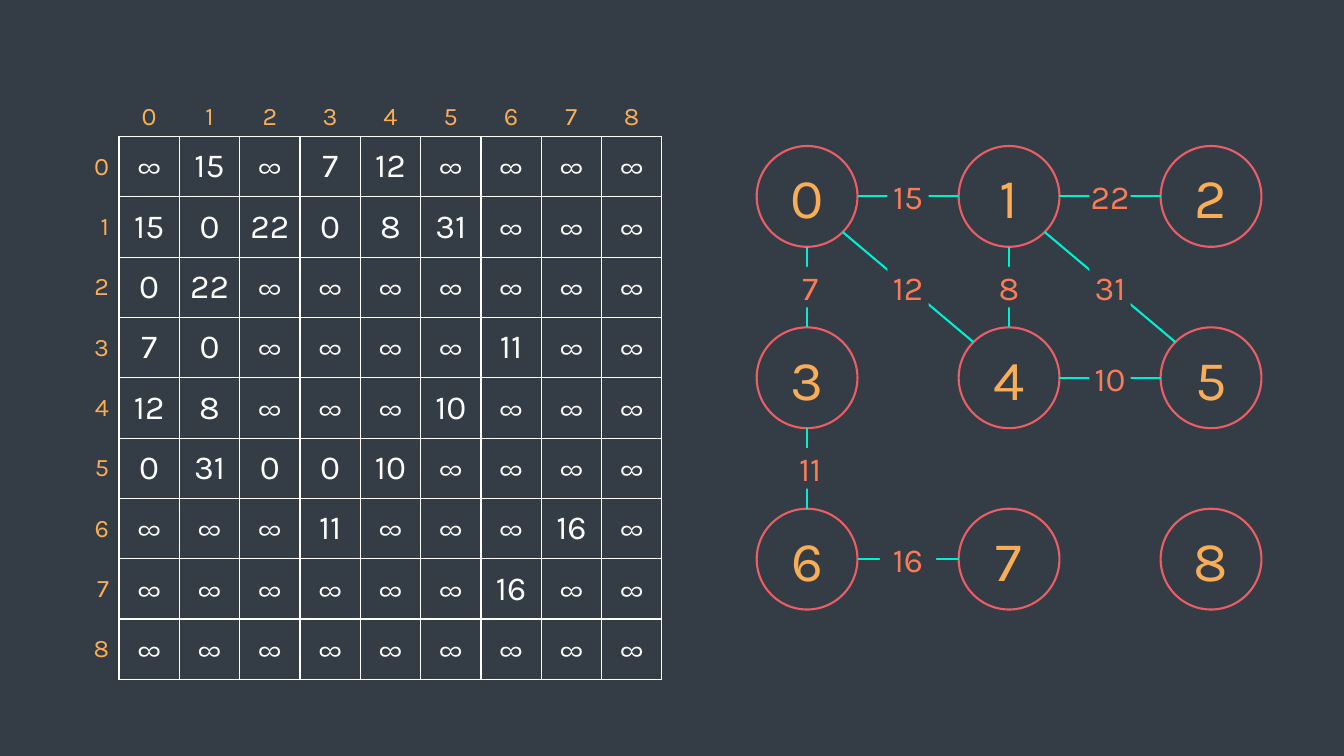
from dataclasses import dataclass
from math import sqrt

from lxml.etree import SubElement
from pptx import Presentation
from pptx.dml.color import RGBColor
from pptx.enum.shapes import MSO_CONNECTOR as Connector, MSO_SHAPE as Shape
from pptx.enum.text import MSO_ANCHOR as Anchor, MSO_AUTO_SIZE as AutoSize, PP_ALIGN as Align
from pptx.oxml.ns import qn
from pptx.util import Cm, Pt


@dataclass(frozen=True)
class Theme:
    font: str = "Karla"
    background: RGBColor = RGBColor.from_string("343D46")
    node_line: RGBColor = RGBColor.from_string("EC5E66")
    node_text: RGBColor = RGBColor.from_string("F9AD57")
    edge: RGBColor = RGBColor.from_string("00EFD1")
    weight: RGBColor = RGBColor.from_string("F97B57")
    heading: RGBColor = RGBColor.from_string("F9AE57")
    entry: RGBColor = RGBColor.from_string("FFFFFF")
    node_size: int = 40
    value_size: int = 24
    heading_size: int = 18
    line_width: float = 1.5
    border_width: float = 1


theme = Theme()


def write(frame, text, size, color, align=Align.CENTER, anchor=Anchor.MIDDLE):
    """Fill a text frame with one formatted line."""
    frame.vertical_anchor = anchor
    paragraph = frame.paragraphs[0]
    paragraph.alignment = align
    run = paragraph.add_run()
    run.text = text
    run.font.name = theme.font
    run.font.size = Pt(size)
    run.font.color.rgb = color


def set_borders(cell, visible):
    """Draw the cell sides named in visible (L, R, T, B) and clear the rest."""
    properties = cell._tc.get_or_add_tcPr()
    for side in "LRTB":
        line = SubElement(properties, qn(f"a:ln{side}"), w=str(Pt(theme.border_width)))
        if side in visible:
            fill = SubElement(line, qn("a:solidFill"))
            SubElement(fill, qn("a:srgbClr"), val=str(theme.entry))
        else:
            SubElement(line, qn("a:noFill"))


presentation = Presentation()
presentation.slide_width = Cm(33.87)
presentation.slide_height = Cm(19.05)
slide = presentation.slides.add_slide(presentation.slide_layouts[6])
slide.background.fill.solid()
slide.background.fill.fore_color.rgb = theme.background

# Graph: nine nodes numbered row by row on a 3 x 3 grid
RADIUS = 1.27
centers = [(20.34 + 5.09 * column, 4.95 + 4.57 * row)
           for row in range(3) for column in range(3)]

# First node, second node, weight, label width, label shift to the right
edges = [
    (0, 1, 15, 1.04, 0),
    (1, 2, 22, 1.04, 0),
    (0, 3, 7, 1.04, 0.08),
    (0, 4, 12, 1.04, 0),
    (1, 4, 8, 1.04, 0),
    (1, 5, 31, 1.04, 0),
    (4, 5, 10, 1.04, 0),
    (3, 6, 11, 1.04, 0.08),
    (6, 7, 16, 1.42, 0),
]
LABEL_HEIGHT = 1.02

for number, (x, y) in enumerate(centers):
    node = slide.shapes.add_shape(Shape.OVAL, Cm(x - RADIUS), Cm(y - RADIUS),
                                  Cm(2 * RADIUS), Cm(2 * RADIUS))
    node.shadow.inherit = False
    node.fill.solid()
    node.fill.fore_color.rgb = theme.background
    node.line.color.rgb = theme.node_line
    node.line.width = Pt(theme.line_width)
    write(node.text_frame, str(number), size=theme.node_size, color=theme.node_text)

for first, second, weight, label_width, shift in edges:
    (x1, y1), (x2, y2) = centers[first], centers[second]
    # Diagonal edges touch the circles at 45 degrees
    reach = RADIUS / sqrt(2) if x1 != x2 and y1 != y2 else RADIUS
    dx = reach if x2 > x1 else 0
    dy = reach if y2 > y1 else 0
    edge = slide.shapes.add_connector(Connector.STRAIGHT, Cm(x1 + dx), Cm(y1 + dy),
                                      Cm(x2 - dx), Cm(y2 - dy))
    edge.line.color.rgb = theme.edge
    edge.line.width = Pt(theme.line_width)
    SubElement(edge._element.spPr, qn("a:effectLst"))

    label = slide.shapes.add_shape(Shape.RECTANGLE,
                                   Cm((x1 + x2 - label_width) / 2 + shift),
                                   Cm((y1 + y2 - LABEL_HEIGHT) / 2),
                                   Cm(label_width), Cm(LABEL_HEIGHT))
    label.shadow.inherit = False
    label.fill.solid()
    label.fill.fore_color.rgb = theme.background
    label.line.fill.background()
    frame = label.text_frame
    frame.margin_left = frame.margin_right = frame.margin_top = frame.margin_bottom = 0
    frame.auto_size = AutoSize.SHAPE_TO_FIT_TEXT
    write(frame, str(weight), size=theme.value_size, color=theme.weight, anchor=Anchor.TOP)

# Adjacency matrix with numbered rows and columns
matrix = [row.split() for row in (
    "∞ 15 ∞ 7 12 ∞ ∞ ∞ ∞",
    "15 0 22 0 8 31 ∞ ∞ ∞",
    "0 22 ∞ ∞ ∞ ∞ ∞ ∞ ∞",
    "7 0 ∞ ∞ ∞ ∞ 11 ∞ ∞",
    "12 8 ∞ ∞ ∞ 10 ∞ ∞ ∞",
    "0 31 0 0 10 ∞ ∞ ∞ ∞",
    "∞ ∞ ∞ 11 ∞ ∞ ∞ 16 ∞",
    "∞ ∞ ∞ ∞ ∞ ∞ 16 ∞ ∞",
    "∞ ∞ ∞ ∞ ∞ ∞ ∞ ∞ ∞",
)]
CELL = 1.52
count = len(matrix) + 1
table = slide.shapes.add_table(count, count, Cm(1.48), Cm(1.92),
                               Cm(CELL * count), Cm(CELL * count)).table
table.first_row = False
table.horz_banding = False
for band in (*table.columns, *table.rows):
    if band in table.columns:
        band.width = Cm(CELL)
    else:
        band.height = Cm(CELL)

for row in range(count):
    for column in range(count):
        cell = table.cell(row, column)
        if row and column:
            set_borders(cell, "LRTB")
            write(cell.text_frame, matrix[row - 1][column - 1],
                  size=theme.value_size, color=theme.entry)
            cell.vertical_anchor = Anchor.MIDDLE
        elif row:
            set_borders(cell, "R")
            write(cell.text_frame, str(row - 1), size=theme.heading_size,
                  color=theme.heading, align=Align.RIGHT)
            cell.vertical_anchor = Anchor.MIDDLE
        elif column:
            set_borders(cell, "B")
            write(cell.text_frame, str(column - 1), size=theme.heading_size,
                  color=theme.heading)
            cell.vertical_anchor = Anchor.BOTTOM
        else:
            set_borders(cell, "")
        cell.fill.background()

presentation.save("out.pptx")
